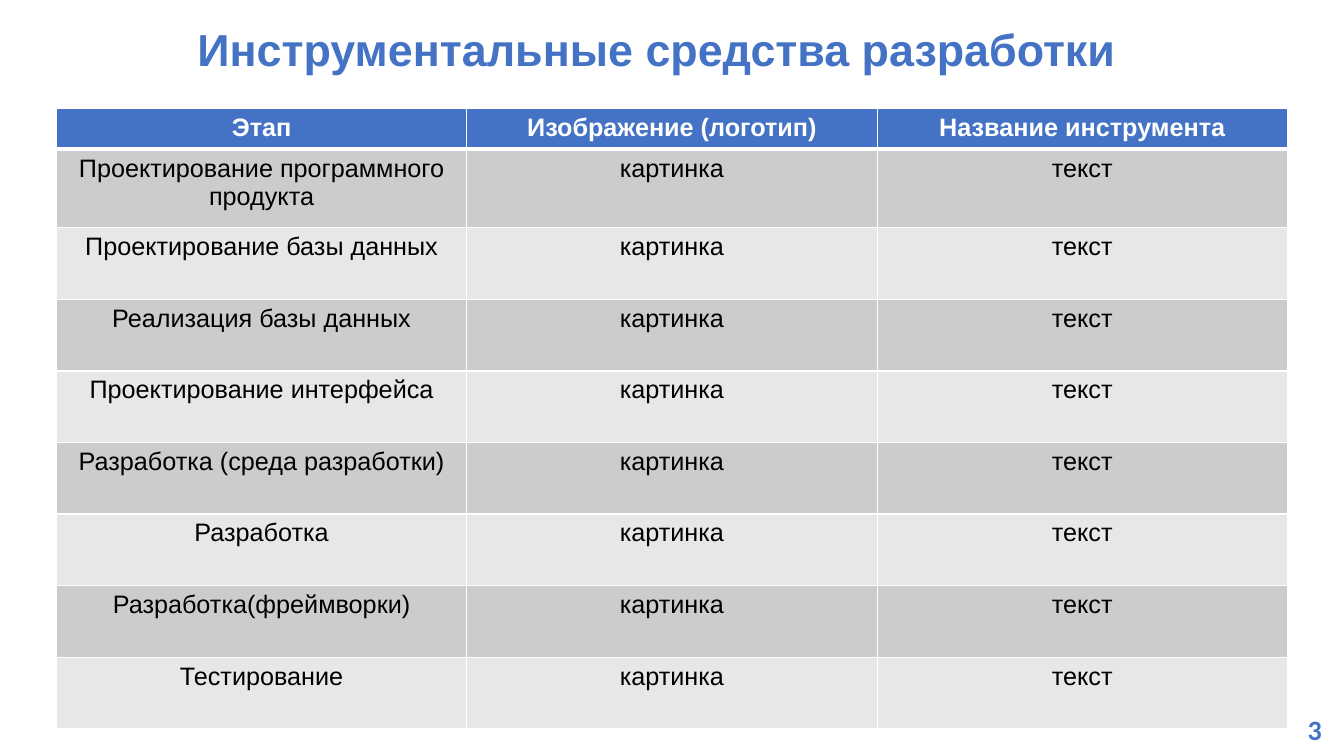
from lxml import etree
from pptx import Presentation
from pptx.dml.color import RGBColor
from pptx.enum.text import MSO_ANCHOR, PP_ALIGN
from pptx.oxml.ns import qn
from pptx.util import Pt

PX = 9144  # 100 px to the inch
CENTER = PP_ALIGN.CENTER
LEFT = PP_ALIGN.LEFT
MIDDLE = MSO_ANCHOR.MIDDLE
TOP = MSO_ANCHOR.TOP
COLORS = {
    "blue": "4472C4",
    "white": "FFFFFF",
    "black": "000000",
    "dark_band": "CCCCCC",
    "light_band": "E7E7E7",
}


def write_text(text_frame, text, size, color, bold, align=CENTER, font="Arial"):
    text_frame.text = text
    paragraph = text_frame.paragraphs[0]
    paragraph.alignment = align
    run_font = paragraph.runs[0].font
    run_font.name = font
    run_font.size = Pt(size)
    run_font.bold = bold
    run_font.color.rgb = RGBColor.from_string(COLORS[color])


def add_borders(cell, widths):
    properties = cell._tc.get_or_add_tcPr()
    for position, (side, width) in enumerate(widths.items()):
        line = etree.Element(qn(f"a:ln{side}"), w=str(Pt(width)))
        fill = etree.SubElement(line, qn("a:solidFill"))
        etree.SubElement(fill, qn("a:srgbClr"), val=COLORS["white"])
        properties.insert(position, line)


presentation = Presentation()
presentation.slide_width = 1333 * PX
presentation.slide_height = 750 * PX
slide = presentation.slides.add_slide(presentation.slide_layouts[6])

# Title
title = slide.shapes.add_textbox(186 * PX, -11 * PX, 1015 * PX, 125 * PX)
title.text_frame.word_wrap = True
title.text_frame.vertical_anchor = MIDDLE
write_text(title.text_frame, "Инструментальные средства разработки", 32, "blue", True, LEFT)
title.text_frame.paragraphs[0].line_spacing = 0.9

# Table of stages and tools
stages = [
    "Проектирование программного продукта",
    "Проектирование базы данных",
    "Реализация базы данных",
    "Проектирование интерфейса",
    "Разработка (среда разработки)",
    "Разработка",
    "Разработка(фреймворки)",
    "Тестирование",
]
rows = [("Этап", "Изображение (логотип)", "Название инструмента")]
rows += [(stage, "картинка", "текст") for stage in stages]
row_heights = [40, 78] + [71] * 7
column_width = 407

table = slide.shapes.add_table(
    len(rows), 3, 56 * PX, 108 * PX, 3 * column_width * PX, sum(row_heights) * PX
).table
for column in table.columns:
    column.width = column_width * PX

for row_index, (values, height) in enumerate(zip(rows, row_heights)):
    table.rows[row_index].height = height * PX
    is_header = row_index == 0
    if is_header:
        band, text_color = "blue", "white"
    else:
        band, text_color = ("dark_band" if row_index % 2 else "light_band"), "black"
    borders = {
        "L": 1,
        "R": 1,
        "T": 3 if row_index == 1 else 1,
        "B": 3 if is_header else 1,
    }
    for column_index, value in enumerate(values):
        cell = table.cell(row_index, column_index)
        cell.vertical_anchor = TOP
        cell.fill.solid()
        cell.fill.fore_color.rgb = RGBColor.from_string(COLORS[band])
        write_text(cell.text_frame, value, 18, text_color, is_header)
        add_borders(cell, borders)

# Slide number
number = slide.shapes.add_textbox(1274 * PX, 702 * PX, 60 * PX, 44 * PX)
number.text_frame.word_wrap = True
write_text(number.text_frame, "3", 20, "blue", True, font="Calibri")

presentation.save("out.pptx")
